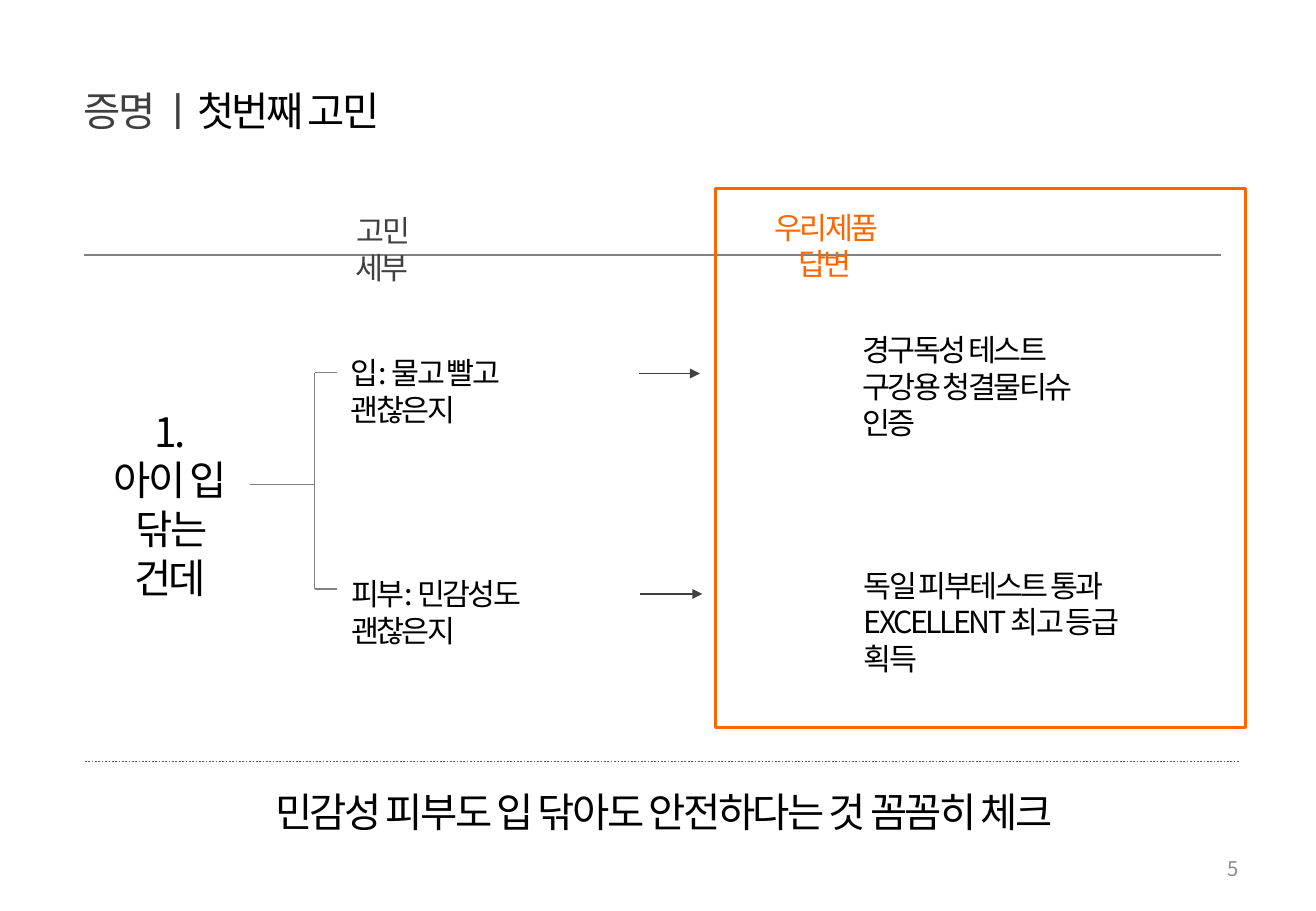
from dataclasses import dataclass
from typing import Any

from lxml import etree
from pptx import Presentation
from pptx import util as u
from pptx.dml.color import RGBColor
from pptx.enum import dml, shapes, text
from pptx.oxml import ns

CELL = u.Inches(0.1)  # grid of 108.3 columns by 75 rows
COLS, ROWS = 108.3, 75
FONT = "Noto Sans CJK KR"
COLORS = {
    "black": "000000",
    "dark": "404040",
    "dotted": "595959",
    "rule": "808080",
    "page": "8C8C8C",
    "accent": "FF6600",
}
LEFT, MIDDLE, RIGHT = text.PP_ALIGN.LEFT, text.PP_ALIGN.CENTER, text.PP_ALIGN.RIGHT
TOP, CENTER = text.MSO_ANCHOR.TOP, text.MSO_ANCHOR.MIDDLE


@dataclass(frozen=True)
class Run:
    words: str
    color: str = "black"


@dataclass(frozen=True)
class Label:
    col: float
    row: float
    cols: float
    rows: float
    lines: list[list[Run]]
    size: int = 18
    align: Any = LEFT
    anchor: Any = TOP
    inset: bool = True


@dataclass(frozen=True)
class Line:
    col1: float
    row1: float
    col2: float
    row2: float
    color: str = "rule"
    width: float = 0.75
    dash: Any = None
    arrow: bool = False


def grid(cells: float) -> int:
    return round(cells * CELL)


def rgb(name: str) -> RGBColor:
    return RGBColor.from_string(COLORS[name])


def add_child(parent: Any, tag: str, **attrs: str) -> None:
    child = etree.SubElement(parent, ns.qn(tag))
    for key, value in attrs.items():
        child.set(key, value)


def draw_label(s: Any, label: Label) -> None:
    sp = s.shapes.add_textbox(*map(grid, (label.col, label.row, label.cols, label.rows)))
    tf = sp.text_frame
    frame_format = {"word_wrap": True, "vertical_anchor": label.anchor}
    if not label.inset:
        sides = ("left", "top", "right", "bottom")
        frame_format |= {f"margin_{side}": 0 for side in sides}
    for key, value in frame_format.items():
        setattr(tf, key, value)
    for i, runs in enumerate(label.lines):
        p = tf.add_paragraph() if i else tf.paragraphs[0]
        p.alignment = label.align
        for run in runs:
            r = p.add_run()
            r.text = run.words
            for key, value in {"size": u.Pt(label.size), "name": FONT}.items():
                setattr(r.font, key, value)
            r.font.color.rgb = rgb(run.color)
            props = r._r.get_or_add_rPr()
            props.set("spc", "-150")
            add_child(props, "a:ea", typeface=FONT)


def draw_line(s: Any, line: Line) -> None:
    ends = map(grid, (line.col1, line.row1, line.col2, line.row2))
    sp = s.shapes.add_connector(shapes.MSO_CONNECTOR.STRAIGHT, *ends)
    sp.line.color.rgb = rgb(line.color)
    sp.line.width = u.Pt(line.width)
    if line.dash is not None:
        sp.line.dash_style = line.dash
    if line.arrow:
        add_child(sp.line._get_or_add_ln(), "a:tailEnd", type="triangle")
    add_child(sp._element.spPr, "a:effectLst")


def draw_answer_frame(s: Any) -> None:
    sp = s.shapes.add_shape(
        shapes.MSO_SHAPE.RECTANGLE, *map(grid, (58.9, 15.5, 43.6, 44.4))
    )
    sp.shadow.inherit = False
    sp.fill.background()
    sp.line.color.rgb = rgb("accent")
    sp.line.width = u.Pt(2)


STEM, FORK, TWIG = 20.6, 25.9, 27.7
UPPER, LOWER = 30.7, 48.5

LINES = [
    Line(7, 62.7, 102, 62.7, "dotted", 1, dml.MSO_LINE.ROUND_DOT),
    Line(6.9, 21, 100.5, 21),
    Line(STEM, 39.9, FORK, 39.9),
    Line(FORK, LOWER, FORK, UPPER),
    *(Line(FORK, row, TWIG, row) for row in (UPPER, LOWER)),
    Line(52.6, 30.75, 57.6, 30.75, "dark", arrow=True),
    Line(52.7, 48.9, 57.8, 48.9, "dark", arrow=True),
]

LABELS = [
    Label(9.8, 64.3, 89.7, 5, [[Run("민감성 피부도 입 닦아도 안전하다는 것 꼼꼼히 체크")]], 24, MIDDLE),
    Label(77.6, 69.5, 25.3, 4, [[Run("5", "page")]], 12, RIGHT, CENTER),
    Label(6.9, 6, 63.6, 6.2, [[Run("증명 ㅣ", "dark"), Run("첫번째 고민")]],
          24, LEFT, CENTER, inset=False),
    Label(7.3, 33, 13.4, 13.1, [[Run("1.")], [Run("아이 입")], [Run("닦는 건데")]], 24, MIDDLE),
    Label(27.9, 28.7, 22.3, 4, [[Run("입: 물고 빨고 괜찮은지")]]),
    Label(27.9, 46.9, 23.5, 4, [[Run("피부: 민감성도 괜찮은지")]]),
    Label(70, 26.8, 22.7, 7.1, [[Run("경구독성 테스트")], [Run("구강용 청결물티슈 인증")]]),
    Label(70.1, 46.2, 27.4, 7.1,
          [[Run("독일 피부테스트 통과")], [Run("EXCELLENT 최고 등급 획득")]]),
    Label(60.8, 16.7, 14.2, 4, [[Run("우리제품 답변", "accent")]], align=MIDDLE),
    Label(26.3, 17, 10.3, 4, [[Run("고민 세부", "dark")]], align=MIDDLE),
]


def main() -> None:
    prs = Presentation()
    prs.slide_width, prs.slide_height = grid(COLS), grid(ROWS)
    s = prs.slides.add_slide(prs.slide_layouts[6])
    for line in LINES:
        draw_line(s, line)
    for label in LABELS:
        draw_label(s, label)
    draw_answer_frame(s)
    prs.save("out.pptx")


if __name__ == "__main__":
    main()
